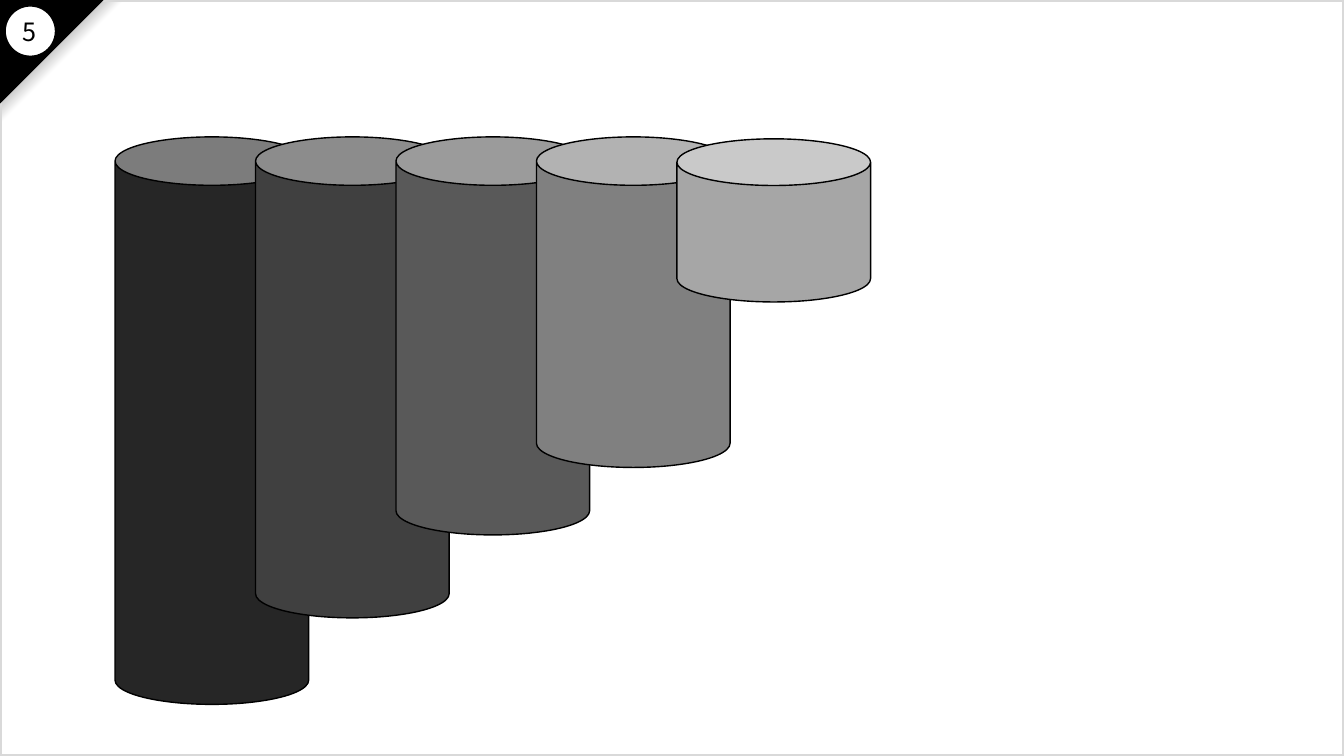
from lxml import etree
from pptx import Presentation
from pptx.dml.color import RGBColor
from pptx.enum.shapes import MSO_SHAPE
from pptx.enum.text import MSO_ANCHOR, MSO_AUTO_SIZE, PP_ALIGN
from pptx.oxml.ns import qn
from pptx.util import Cm, Pt

BLACK = RGBColor(0x00, 0x00, 0x00)
WHITE = RGBColor(0xFF, 0xFF, 0xFF)
FRAME_GREY = RGBColor(0xD9, 0xD9, 0xD9)
FOLD_GREY = RGBColor(0x80, 0x80, 0x80)
FONT_NAME = "Noto Sans CJK JP"

RECTANGLE = MSO_SHAPE.RECTANGLE
OVAL = MSO_SHAPE.OVAL
CAN = MSO_SHAPE.CAN
RIGHT_TRIANGLE = MSO_SHAPE.RIGHT_TRIANGLE
CENTER = PP_ALIGN.CENTER
MIDDLE = MSO_ANCHOR.MIDDLE
FIT_TEXT = MSO_AUTO_SIZE.SHAPE_TO_FIT_TEXT

SLIDE_WIDTH, SLIDE_HEIGHT = Cm(33.87), Cm(19.05)

CYLINDER_LEFT, CYLINDER_PITCH, CYLINDER_WIDTH = 2.9, 3.54, 4.88
# top and height in cm, lid depth ratio, colour
CYLINDERS = [
    (3.45, 14.3, 0.25, RGBColor(0x26, 0x26, 0x26)),
    (3.45, 12.12, 0.25, RGBColor(0x40, 0x40, 0x40)),
    (3.45, 10.03, 0.25, RGBColor(0x59, 0x59, 0x59)),
    (3.45, 8.33, 0.25, RGBColor(0x80, 0x80, 0x80)),
    (3.5, 4.11, 0.286, RGBColor(0xA6, 0xA6, 0xA6)),
]
FOLD_STOPS = [(0, WHITE), (50, WHITE), (70, FOLD_GREY), (100, BLACK)]


def add_figure(slide, kind, left, top, width, height, fill=None, line=None, line_width=1):
    shape = slide.shapes.add_shape(kind, left, top, width, height)
    shape.shadow.inherit = False
    if fill is None:
        shape.fill.background()
    else:
        shape.fill.solid()
        shape.fill.fore_color.rgb = fill
    if line is None:
        shape.line.fill.background()
    else:
        shape.line.color.rgb = line
        shape.line.width = Pt(line_width)
    return shape


def add_corner(slide, size, fill=None, line=None):
    """Add a triangle whose right angle fills the top left corner."""
    corner = add_figure(slide, RIGHT_TRIANGLE, 0, 0, size, size, fill, line)
    corner.rotation = 90
    return corner


def set_gradient(shape, stops, angle):
    """Fill with stops of (percent, colour); the angle runs clockwise."""
    shape.fill.gradient()
    gradient = shape.element.spPr.find(qn("a:gradFill"))
    gradient.set("rotWithShape", "1")
    stop_list = gradient.find(qn("a:gsLst"))
    for old_stop in list(stop_list):
        stop_list.remove(old_stop)
    for percent, color in stops:
        stop = etree.SubElement(stop_list, qn("a:gs"), pos=str(percent * 1000))
        etree.SubElement(stop, qn("a:srgbClr"), val=str(color))
    shape.fill.gradient_angle = 360 - angle


def add_page_number(slide, number):
    add_figure(slide, OVAL, Cm(0.13), Cm(0.15), Cm(1.27), Cm(1.27), WHITE, BLACK)
    box = slide.shapes.add_textbox(Cm(0.3), Cm(0.28), Cm(0.91), Cm(1.02))
    frame = box.text_frame
    frame.word_wrap = False
    frame.auto_size = FIT_TEXT
    frame.vertical_anchor = MIDDLE
    paragraph = frame.paragraphs[0]
    paragraph.text = number
    paragraph.alignment = CENTER
    paragraph.font.name = FONT_NAME
    paragraph.font.size = Pt(18)
    paragraph.font.color.rgb = BLACK


def add_cylinders(slide):
    for index, (top, height, lid_depth, color) in enumerate(CYLINDERS):
        left = CYLINDER_LEFT + index * CYLINDER_PITCH
        cylinder = add_figure(slide, CAN, Cm(left), Cm(top), Cm(CYLINDER_WIDTH),
                              Cm(height), color, BLACK)
        cylinder.adjustments[0] = lid_depth


def main():
    presentation = Presentation()
    presentation.slide_width = SLIDE_WIDTH
    presentation.slide_height = SLIDE_HEIGHT
    slide = presentation.slides.add_slide(presentation.slide_layouts[6])

    fold_shadow = add_corner(slide, Cm(3.12))
    set_gradient(fold_shadow, FOLD_STOPS, 135)
    add_figure(slide, RECTANGLE, 0, 0, SLIDE_WIDTH, SLIDE_HEIGHT,
               line=FRAME_GREY, line_width=3)
    add_corner(slide, Cm(2.59), BLACK, BLACK)
    add_cylinders(slide)
    add_page_number(slide, "5")

    presentation.save("out.pptx")


if __name__ == "__main__":
    main()
